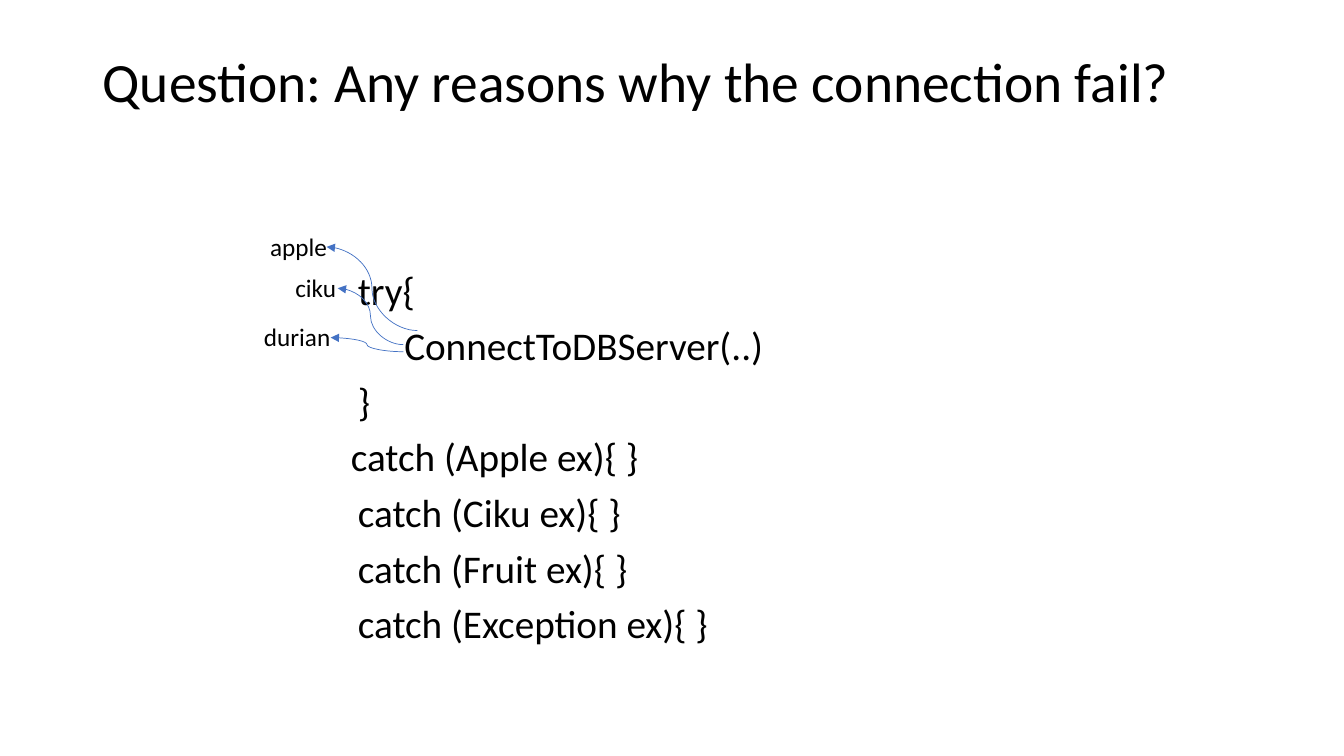
from typing import NamedTuple

from lxml.etree import SubElement
from pptx import Presentation
from pptx.dml.color import RGBColor
from pptx.enum.shapes import MSO_CONNECTOR
from pptx.enum.text import MSO_ANCHOR
from pptx.oxml.ns import qn
from pptx.slide import Slide
from pptx.text.text import TextFrame
from pptx.util import Emu, Pt

PX = 9144  # EMU per px, 100 px to the inch
FONT = "Calibri"
COLORS = {"text": "000000", "arrow": "4472C4"}


class CodeLine(NamedTuple):
    text: str
    indent: int


class Fruit(NamedTuple):
    name: str
    box: tuple[int, int, int, int]
    start: tuple[int, int]
    end: tuple[int, int]


CODE = [
    CodeLine("try{", 7),
    CodeLine("ConnectToDBServer(..)", 53),
    CodeLine("}", 7),
    CodeLine("catch (Apple ex){ }", 0),
    CodeLine("catch (Ciku ex){ }", 7),
    CodeLine("catch (Fruit ex){ }", 7),
    CodeLine("catch (Exception ex){ }", 7),
]

FRUITS = [
    Fruit("apple", (258, 225, 77, 40), (414, 328), (324, 245)),
    Fruit("ciku", (283, 265, 61, 40), (400, 342), (335, 286)),
    Fruit("durian", (252, 314, 87, 40), (400, 349), (328, 335)),
]


def px(n: int) -> Emu:
    return Emu(n * PX)


def add_box(s: Slide, box: tuple[int, int, int, int], wrap: bool = True) -> TextFrame:
    tf = s.shapes.add_textbox(*map(px, box)).text_frame
    tf.word_wrap = wrap
    return tf


def add_line(tf: TextFrame, text: str, size: float, first: bool = True):
    p = tf.paragraphs[0] if first else tf.add_paragraph()
    r = p.add_run()
    r.text = text
    r.font.name = FONT
    r.font.size = Pt(size)
    r.font.color.rgb = RGBColor.from_string(COLORS["text"])
    return p


def add_code(s: Slide, lines: list[CodeLine]) -> None:
    tf = add_box(s, (348, 269, 894, 470))
    tf.margin_left = tf.margin_top = 0
    for i, line in enumerate(lines):
        p = add_line(tf, line.text, 28, first=i == 0)
        p.line_spacing = 0.9
        p.space_after = Pt(9.5)
        pPr = p._p.get_or_add_pPr()
        pPr.set("marL", str(px(line.indent)))
        pPr.set("indent", "0")


def add_arrow(s: Slide, start: tuple[int, int], end: tuple[int, int]) -> None:
    c = s.shapes.add_connector(MSO_CONNECTOR.CURVE, *map(px, start + end))
    c.line.color.rgb = RGBColor.from_string(COLORS["arrow"])
    c.line.width = Pt(0.5)
    SubElement(c.line._get_or_add_ln(), qn("a:tailEnd"), type="triangle")
    SubElement(c._element.spPr, qn("a:effectLst"))


def main() -> None:
    prs = Presentation()
    prs.slide_width, prs.slide_height = px(1333), px(750)
    s = prs.slides.add_slide(prs.slide_layouts[6])

    # Title
    tf = add_box(s, (92, 40, 1150, 88))
    tf.vertical_anchor = MSO_ANCHOR.MIDDLE
    title = "Question: Any reasons why the connection fail?"
    add_line(tf, title, 39.6).line_spacing = 0.9

    # Code listing
    add_code(s, CODE)

    # Thrown exceptions, each with its arrow from the call
    for fruit in FRUITS:
        add_arrow(s, fruit.start, fruit.end)
        add_line(add_box(s, fruit.box, wrap=False), fruit.name, 18)

    prs.save("out.pptx")


if __name__ == "__main__":
    main()
